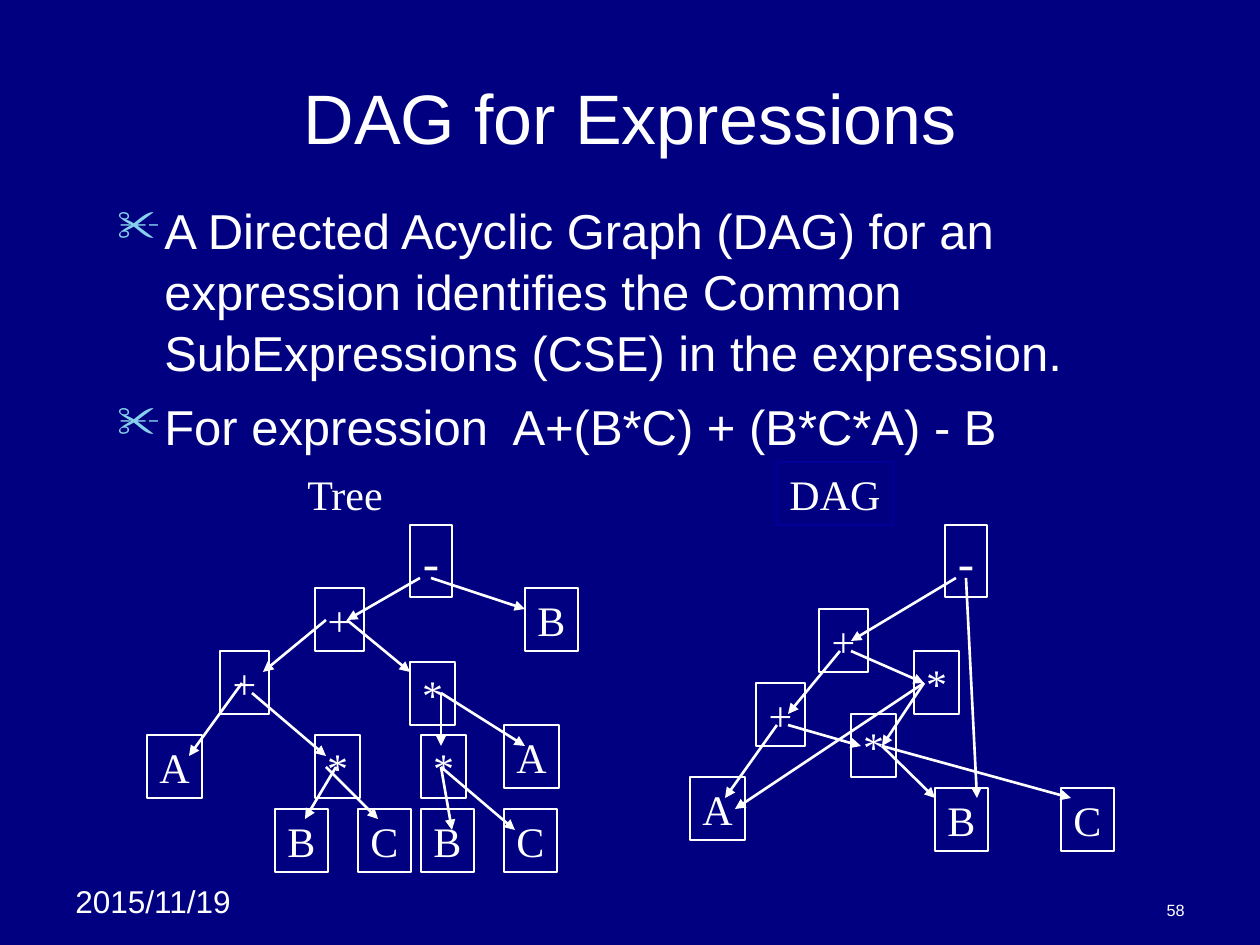
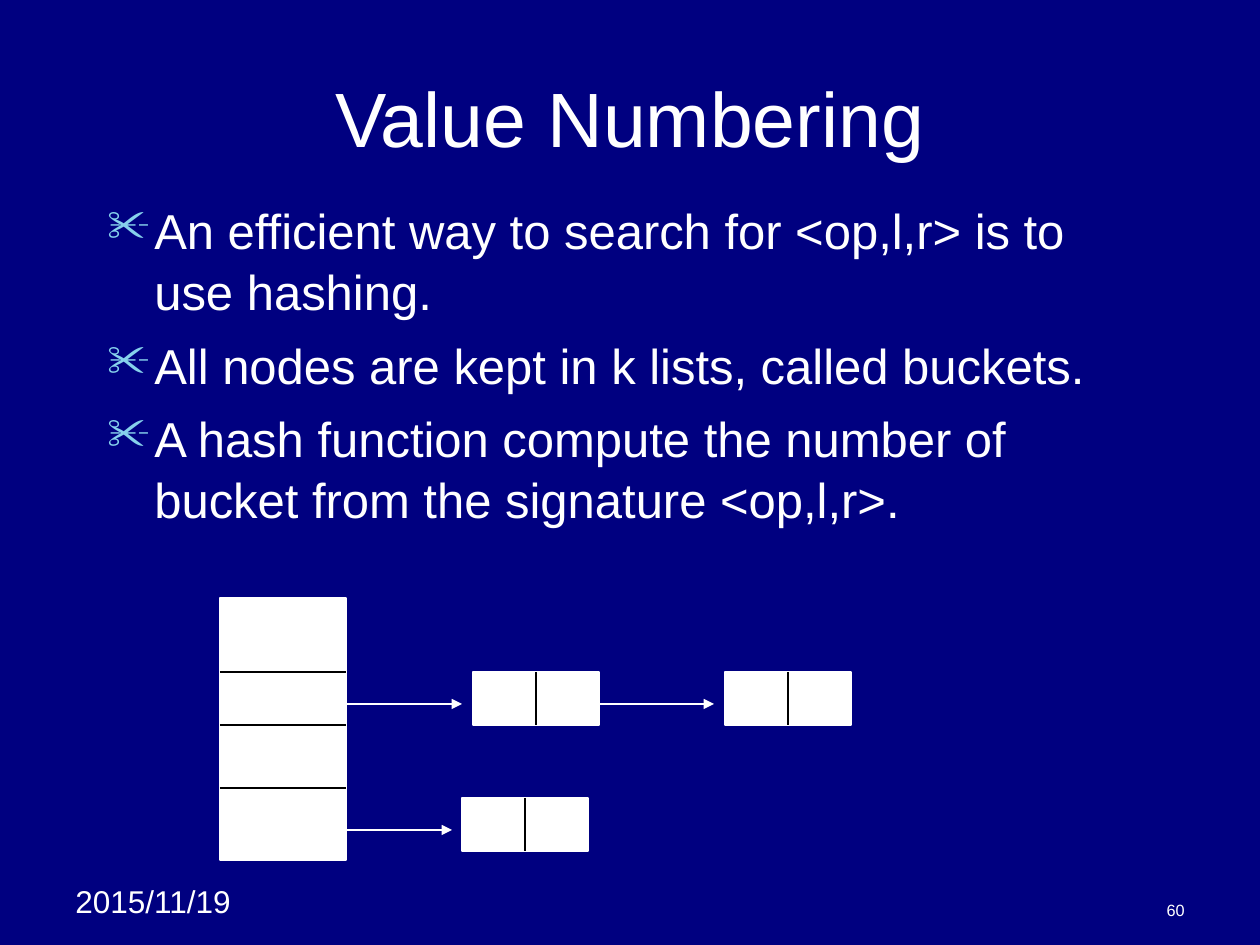
from lxml import etree
from pptx import Presentation
from pptx.dml.color import RGBColor
from pptx.enum.shapes import MSO_CONNECTOR as Link, MSO_SHAPE as Kind
from pptx.enum.text import MSO_ANCHOR as Anchor, MSO_AUTO_SIZE as Fit, PP_ALIGN as Align
from pptx.oxml.ns import qn
from pptx.util import Emu, Pt

PX = 914400 / 126
NAVY = RGBColor(0x00, 0x00, 0x80)
BLUE = RGBColor(0x00, 0x00, 0x99)
WHITE = RGBColor(0xFF, 0xFF, 0xFF)
BLACK = RGBColor(0x00, 0x00, 0x00)
SKY = RGBColor(0x86, 0xD1, 0xEC)
SANS, SERIF = "Arial", "Times New Roman"

FRAME = {"word_wrap": True, "auto_size": Fit.NONE, "vertical_anchor": Anchor.TOP}
TITLE = {**FRAME, "vertical_anchor": Anchor.MIDDLE}
FOOT = {**FRAME, "vertical_anchor": Anchor.BOTTOM}
LABEL = {**FRAME, "word_wrap": False}


def write(shape, lines, size, face=SANS, align=Align.LEFT, frame=FRAME):
    """Fill a shape with white paragraphs and return them."""
    text = shape.text_frame
    text.text = "\n".join(lines)
    for key, val in frame.items():
        setattr(text, key, val)
    look = {"size": Pt(size), "name": face}
    for para in text.paragraphs:
        para.alignment = align
        font = para.runs[0].font
        font.color.rgb = WHITE
        for key, val in look.items():
            setattr(font, key, val)
    return text.paragraphs


def draw(slide, ends, color=WHITE, arrow=True):
    """Draw a line between two points, with a head at its end if arrow."""
    line = slide.shapes.add_connector(Link.STRAIGHT, *[Emu(round(n * PX)) for n in ends])
    line.line.color.rgb = color
    line.line.width = Pt(1.5)
    if arrow:
        etree.SubElement(line.line._get_or_add_ln(), qn("a:tailEnd"), type="triangle")
    etree.SubElement(line._element.spPr, qn("a:effectLst"))
    return line


prs = Presentation()
prs.slide_width, prs.slide_height = Emu(round(1260 * PX)), Emu(round(945 * PX))
back = prs.slide_master.background.fill
back.solid()
back.fore_color.rgb = NAVY

# Titles, bullets and footers
pages = [
    ("DAG for Expressions", 40, "58", 105, [
        "A Directed Acyclic Graph (DAG) for an expression identifies the Common "
        "SubExpressions (CSE) in the expression.",
        "For expression  A+(B*C) + (B*C*A) - B"]),
    ("Value Numbering", 44, "60", 95, [
        "An efficient way to search for <op,l,r> is to use hashing.",
        "All nodes are kept in k lists, called buckets.",
        "A hash function compute the number of bucket from the signature <op,l,r>."]),
]
slides = []
for name, size, num, left, points in pages:
    slide = prs.slides.add_slide(prs.slide_layouts[5])
    slides.append(slide)
    title = slide.shapes.title
    spot = {"left": 63, "top": 38, "width": 1134, "height": 157}
    for key, val in spot.items():
        setattr(title, key, Emu(round(val * PX)))
    write(title, [name], size, align=Align.CENTER, frame=TITLE)

    boxes = [(63, 876, 199, 50), (903, 892, 294, 34), (left, 192, 1071, 700)]
    date, page, body = [slide.shapes.add_textbox(*[Emu(round(n * PX)) for n in box])
                        for box in boxes]
    write(date, ["2015/11/19"], 18)
    write(page, [num], 9.3, align=Align.RIGHT, frame=FOOT)
    for i, para in enumerate(write(body, points, 28)):
        para.line_spacing = 1.04
        para.space_before = Pt(7 if i else 0)
        props = para._p.get_or_add_pPr()
        props.set("marL", str(round(47 * PX)))
        props.set("indent", str(round(-47 * PX)))
        tint = etree.SubElement(props, qn("a:buClr"))
        etree.SubElement(tint, qn("a:srgbClr"), val=str(SKY))
        etree.SubElement(props, qn("a:buSzPct"), val="90000")
        etree.SubElement(props, qn("a:buChar"), char="✂")

# Tree and DAG: captions, nodes and edges
graph, hashing = slides
sizes = {"Tree": (102, 63), "DAG": (116, 63), "-": (42, 72), "+": (49, 63),
         "*": (45, 63), "A": (55, 63), "B": (53, 63), "C": (53, 63)}
nodes = [
    ("Tree", 294, 462), ("DAG", 777, 462),
    ("-", 410, 525), ("+", 315, 588), ("B", 525, 588), ("+", 220, 651),
    ("*", 410, 662), ("A", 147, 735), ("*", 315, 735), ("*", 421, 735),
    ("A", 504, 725), ("B", 275, 809), ("C", 358, 809), ("B", 421, 809),
    ("C", 504, 809),
    ("-", 945, 525), ("+", 819, 609), ("*", 914, 651), ("+", 756, 683),
    ("*", 851, 714), ("A", 690, 777), ("B", 935, 788), ("C", 1061, 788),
]
for word, x, y in nodes:
    box = [Emu(round(n * PX)) for n in (x, y, *sizes[word])]
    if word == "Tree":
        node = graph.shapes.add_textbox(*box)
    else:
        node = graph.shapes.add_shape(Kind.RECTANGLE, *box)
        node.shadow.inherit = False
        node.fill.background()
        node.line.color.rgb = BLUE if word == "DAG" else WHITE
        node.line.width = Pt(1.5)
    write(node, [word], 28 if word == "-" else 24, SERIF, Align.CENTER, LABEL)

edges = [
    (420, 578, 347, 620), (431, 578, 525, 609), (326, 620, 263, 672),
    (347, 620, 410, 672), (242, 683, 189, 756), (252, 693, 326, 756),
    (336, 767, 305, 819), (326, 767, 378, 819), (441, 693, 441, 746),
    (441, 693, 525, 746), (441, 767, 452, 830), (441, 767, 515, 830),
    (956, 578, 851, 641), (966, 578, 977, 798), (840, 651, 788, 714),
    (851, 651, 924, 683), (777, 725, 725, 798), (788, 725, 861, 746),
    (924, 683, 882, 746), (924, 683, 735, 809), (882, 746, 935, 798),
    (882, 746, 1071, 798),
]
for edge in edges:
    draw(graph, edge)

# Bucket table and its lists
table, *cells = [(220, 598, 126, 262), (473, 672, 126, 53), (725, 672, 126, 53),
                 (462, 798, 126, 53)]
for box in [table, *cells]:
    rect = hashing.shapes.add_shape(Kind.RECTANGLE, *[Emu(round(n * PX)) for n in box])
    rect.shadow.inherit = False
    rect.fill.solid()
    rect.fill.fore_color.rgb = rect.line.color.rgb = WHITE
    rect.line.width = Pt(1.5)
    if box in cells:
        x, y, wide, high = box
        mid = x + wide // 2
        split = draw(hashing, (mid, y, mid, y + high), BLACK, False)
        split.begin_connect(rect, 0)
        split.end_connect(rect, 2)
for y in (672, 725, 788):
    draw(hashing, (220, y, 346, y), BLACK, False)
for x, y, end in [(294, 704, 462), (578, 704, 714), (326, 830, 452)]:
    draw(hashing, (x, y, end, y))

prs.save("out.pptx")
